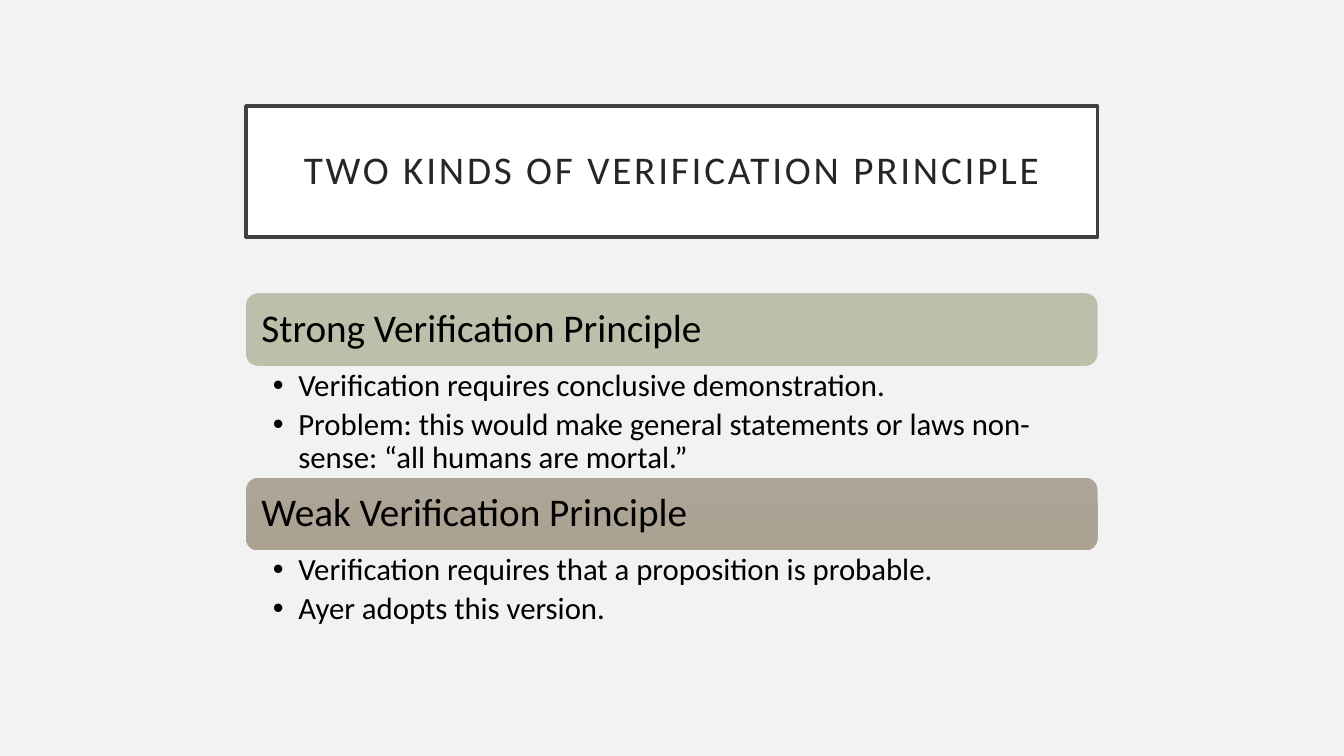
"""Build a slide that sets out the two kinds of verification principle."""
import pptx
import pptx.dml.color
import pptx.enum.shapes
import pptx.enum.text
import pptx.oxml.ns
import pptx.util
from lxml import etree

TITLE = "TWO KINDS OF VERIFICATION PRINCIPLE"
SECTIONS = [
    {"heading": "Strong Verification Principle", "fill": ("strong_top", "strong_end"), "height": 2.82,
     "points": ["Verification requires conclusive demonstration.",
                "Problem: this would make general statements or laws non-sense: “all humans are mortal.”"]},
    {"heading": "Weak Verification Principle", "fill": ("weak_top", "weak_end"), "height": 2.01,
     "points": ["Verification requires that a proposition is probable.",
                "Ayer adopts this version."]},
]
COLOURS = {"page": "F2F2F2", "panel": "FFFFFF", "border": "404040", "title": "262626", "text": "000000",
           "strong_top": "BBC0AB", "strong_end": "B9BEA8", "weak_top": "ADA597", "weak_end": "ABA292"}
LEFT, WIDTH = 6.2, 21.46
TITLE_TOP, TITLE_HEIGHT = 2.67, 3.3
SECTIONS_TOP, BANNER_HEIGHT = 7.39, 1.83
TITLE_INSETS = (0.5, 0.5, 0.5, 0.5)
BANNER_INSETS = (0.3, 0.3, 0.3, 0.3)
POINT_INSETS = (0.68, 0.1, 0.56, 0.1)

Cm, Pt = pptx.util.Cm, pptx.util.Pt
ALIGN, ANCHOR = pptx.enum.text.PP_ALIGN, pptx.enum.text.MSO_ANCHOR
SHAPE = pptx.enum.shapes.MSO_SHAPE


def colour(name):
    return pptx.dml.color.RGBColor.from_string(COLOURS[name])


def apply(target, values):
    for name, value in values.items():
        setattr(target, name, value)


def write(box, lines, insets, anchor, size, ink="text", align=ALIGN.LEFT, after=0):
    frame = box.text_frame
    sides = ("margin_left", "margin_top", "margin_right", "margin_bottom")
    apply(frame, {"word_wrap": True, "vertical_anchor": anchor,
                  **{side: Cm(inset) for side, inset in zip(sides, insets)}})
    for index, line in enumerate(lines):
        para = frame.paragraphs[0] if index == 0 else frame.add_paragraph()
        apply(para, {"alignment": align, "line_spacing": 0.9, "space_after": Pt(after)})
        span = para.add_run()
        span.text = line
        apply(span.font, {"name": "Calibri", "size": Pt(size)})
        span.font.color.rgb = colour(ink)
    return frame.paragraphs


def add_bullet(para):
    para.level = 1
    properties = para._p.get_or_add_pPr()
    properties.set("marL", str(Cm(0.64)))
    properties.set("indent", str(-Cm(0.64)))
    etree.SubElement(properties, pptx.oxml.ns.qn("a:buFont"), typeface="Arial")
    etree.SubElement(properties, pptx.oxml.ns.qn("a:buChar"), char="•")


def add_panel(page, kind, top, height):
    panel = page.shapes.add_shape(kind, Cm(LEFT), Cm(top), Cm(WIDTH), Cm(height))
    panel.shadow.inherit = False
    return panel


def add_title(page):
    panel = add_panel(page, SHAPE.RECTANGLE, TITLE_TOP, TITLE_HEIGHT)
    panel.fill.solid()
    panel.fill.fore_color.rgb = colour("panel")
    panel.line.color.rgb = colour("border")
    panel.line.width = Pt(2.5)
    para = write(panel, [TITLE], TITLE_INSETS, ANCHOR.MIDDLE, 28, "title", ALIGN.CENTER)[0]
    para.runs[0].font._element.set("spc", "200")


def add_section(page, section, top):
    banner = add_panel(page, SHAPE.ROUNDED_RECTANGLE, top, BANNER_HEIGHT)
    banner.line.fill.background()
    banner.fill.gradient()
    banner.fill.gradient_angle = 270
    for stop, name in zip(banner.fill.gradient_stops, section["fill"]):
        stop.color.rgb = colour(name)
    write(banner, [section["heading"]], BANNER_INSETS, ANCHOR.MIDDLE, 28)
    box = page.shapes.add_textbox(Cm(LEFT), Cm(top + BANNER_HEIGHT), Cm(WIDTH), Cm(section["height"]))
    for para in write(box, section["points"], POINT_INSETS, ANCHOR.TOP, 22, after=4):
        add_bullet(para)


def main():
    deck = pptx.Presentation()
    apply(deck, {"slide_width": Cm(33.87), "slide_height": Cm(19.05)})
    page = deck.slides.add_slide(deck.slide_layouts[6])
    page.background.fill.solid()
    page.background.fill.fore_color.rgb = colour("page")
    add_title(page)
    top = SECTIONS_TOP
    for section in SECTIONS:
        add_section(page, section, top)
        top += BANNER_HEIGHT + section["height"]
    deck.save("out.pptx")


if __name__ == "__main__":
    main()
